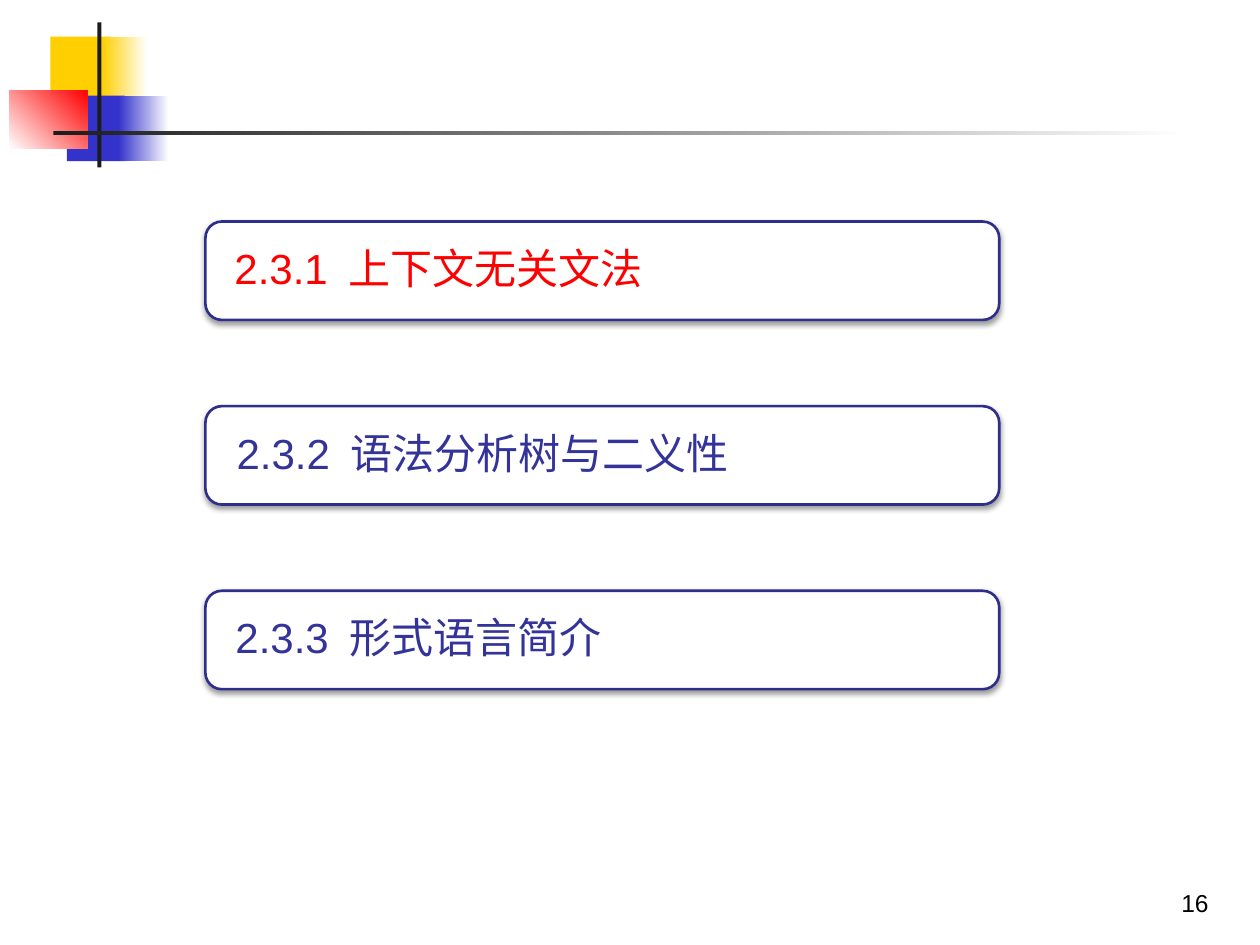
from pptx import Presentation
from pptx.dml.color import RGBColor
from pptx.enum.shapes import MSO_SHAPE as Preset
from pptx.enum.text import MSO_ANCHOR as Anchor, PP_ALIGN as Align
from pptx.oxml import parse_xml
from pptx.oxml.ns import nsdecls, qn
from pptx.util import Pt

DECORATION = [
    (28.8, 20.9, 34.6, 37.4, ["FFCF01"], 0),
    (58.3, 20.9, 25.9, 37.4, ["FFCF01", "FFFFFF"], 0),
    (38.2, 54.7, 33.1, 37.4, ["3333CC"], 0),
    (67.7, 54.7, 28.8, 37.4, ["3333CC", "FFFFFF"], 0),
    (5.3, 51.5, 44.5, 33.5, ["FFFFFF", "FF0000"], 45),
    (55.7, 12.8, 2.3, 82.8, ["1C1C1C"], 0),
    (30.5, 74.9, 648, 2.2, ["1C1C1C", "FFFFFF"], 0),
]
SECTIONS = [
    ("2.3.1", "上下文无关文法", "FF0000", 2.2),
    ("2.3.2", "语法分析树与二义性", "333399", 3.4),
    ("2.3.3", "形式语言简介", "333399", 2.8),
]
PANEL_LEFT, PANEL_TOP, PANEL_WIDTH, PANEL_HEIGHT = 117.4, 126.6, 453.6, 56.2
PANEL_PITCH = 105.5
TITLE_TAB = 65


def color(value):
    return RGBColor.from_string(value)


def add_shape(shapes, preset, box):
    shape = shapes.add_shape(preset, *map(Pt, box))
    shape.shadow.inherit = False
    return shape


def add_block(shapes, box, colors, angle):
    block = add_shape(shapes, Preset.RECTANGLE, box)
    block.line.fill.background()
    if len(colors) == 1:
        block.fill.solid()
        block.fill.fore_color.rgb = color(colors[0])
        return
    block.fill.gradient()
    block.fill.gradient_angle = angle
    for position, (stop, value) in enumerate(zip(block.fill.gradient_stops, colors)):
        stop.position = position
        stop.color.rgb = color(value)


def add_panel(shapes, box):
    panel = add_shape(shapes, Preset.ROUNDED_RECTANGLE, box)
    panel.fill.solid()
    panel.fill.fore_color.rgb = color("FFFFFF")
    panel.line.color.rgb = color("2E2E8B")
    panel.line.width = Pt(1.5)
    panel._element.spPr.find(qn("a:effectLst")).append(parse_xml(
        f'<a:outerShdw {nsdecls("a")} blurRad="{Pt(3.1)}" dist="{Pt(1.6)}" '
        'dir="5400000" rotWithShape="0"><a:srgbClr val="000000">'
        '<a:alpha val="38000"/></a:srgbClr></a:outerShdw>'))


def add_text(shapes, box, text, size, value, anchor):
    frame = shapes.add_textbox(*map(Pt, box)).text_frame
    frame.word_wrap = True
    frame.vertical_anchor = anchor
    frame.text = text
    font = frame.paragraphs[0].runs[0].font
    font.name = "Arial"
    font.size = Pt(size)
    font.color.rgb = color(value)
    return frame


def add_section(slide, top, number, title, value, indent):
    group = slide.shapes.add_group_shape()
    add_panel(group.shapes, (PANEL_LEFT, top, PANEL_WIDTH, PANEL_HEIGHT))
    label_box = (PANEL_LEFT + indent, top + 2.9, PANEL_WIDTH - 2 * indent, 50.6)
    label = add_text(group.shapes, label_box, f"{number}\t{title}", 24, value, Anchor.MIDDLE)
    label.margin_left = label.margin_right = Pt(14.4)
    label.margin_top = label.margin_bottom = 0
    line = label.paragraphs[0]
    line.line_spacing = 0.9
    properties = line._p.get_or_add_pPr()
    properties.append(parse_xml(
        f'<a:spcAft {nsdecls("a")}><a:spcPct val="35000"/></a:spcAft>'))
    properties.append(parse_xml(
        f'<a:tabLst {nsdecls("a")}><a:tab pos="{Pt(TITLE_TAB)}" algn="l"/></a:tabLst>'))


def main():
    deck = Presentation()
    deck.slide_width, deck.slide_height = Pt(720), Pt(540)
    slide = deck.slides.add_slide(deck.slide_layouts[6])
    for *box, colors, angle in DECORATION:
        add_block(slide.shapes, box, colors, angle)
    page = add_text(slide.shapes, (547.9, 491.8, 149.8, 36), "16", 14, "000000", Anchor.BOTTOM)
    page.paragraphs[0].alignment = Align.RIGHT
    for index, section in enumerate(SECTIONS):
        add_section(slide, PANEL_TOP + index * PANEL_PITCH, *section)
    deck.save("out.pptx")


if __name__ == "__main__":
    main()
